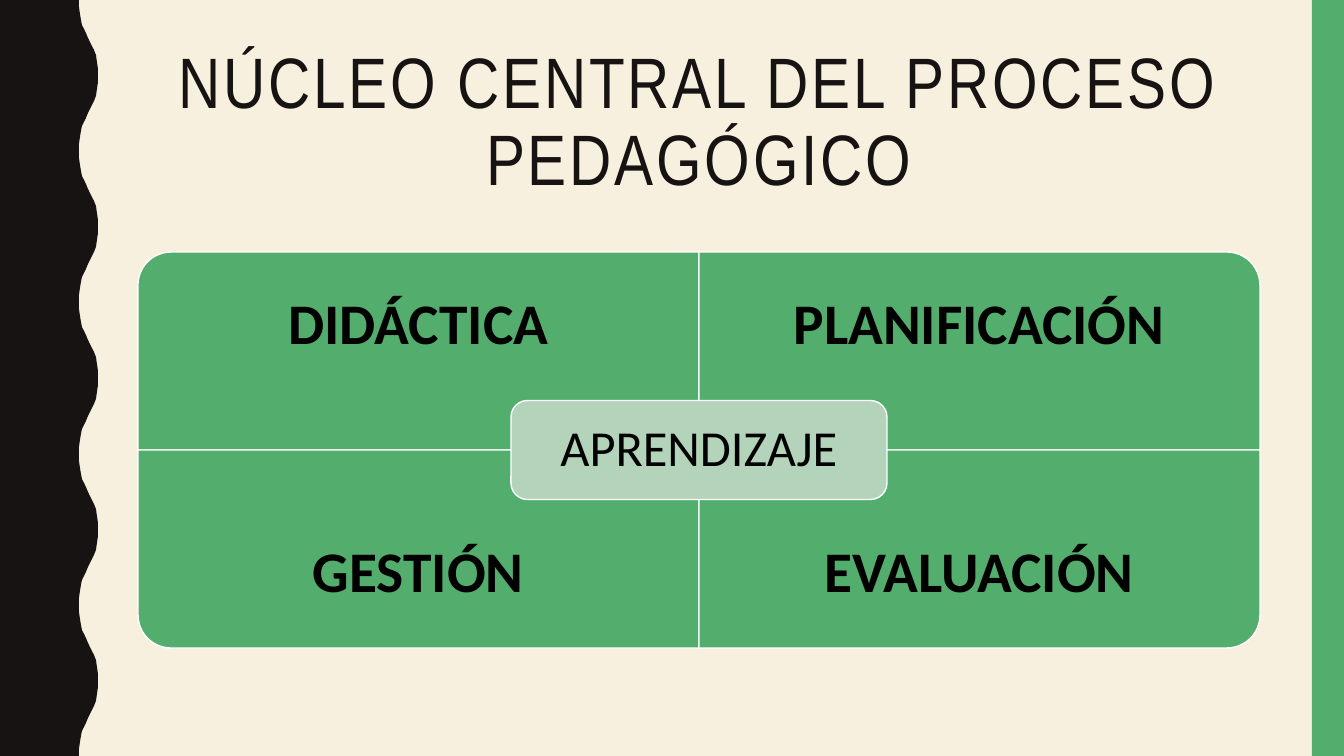
"""Build the slide on the core of the pedagogical process."""
from pptx import Presentation
from pptx.dml.color import RGBColor
from pptx.enum.shapes import MSO_SHAPE as Shape
from pptx.enum.text import MSO_ANCHOR as Anchor, PP_ALIGN as Align
from pptx.util import Pt

TITLE = "NÚCLEO CENTRAL DEL PROCESO PEDAGÓGICO"
CENTRE = "APRENDIZAJE"
QUADRANTS = [
    ("DIDÁCTICA", 0, 0, 270),
    ("PLANIFICACIÓN", 0, 1, 0),
    ("GESTIÓN", 1, 0, 180),
    ("EVALUACIÓN", 1, 1, 90),
]
THEME = {
    "cream": "F7F0DF", "ink": "171312", "green": "53AE6E",
    "pale": "B3D3BA", "white": "FFFFFF", "black": "000000",
    "title": {"name": "Arial Narrow", "size": Pt(51)},
    "quadrant": {"name": "Calibri", "size": Pt(41), "bold": True},
    "centre": {"name": "Calibri", "size": Pt(36)},
}
SCALE = 914400 / 100.8
WIDTH, HEIGHT = 1344, 756
GRID_LEFT, GRID_TOP, CELL_WIDTH, CELL_HEIGHT = 138, 252, 561, 198
LABEL_HEIGHT = 148
CENTRE_WIDTH, CENTRE_HEIGHT = 376, 99
WAVES = 5
HALF_WAVE = [(79, 0), (79, 7), (80, 14), (81, 20), (82, 25), (84, 29), (86, 33), (88, 38),
             (90, 42), (92, 46), (94, 50), (96, 55), (97, 62), (98, 69)]


def emu(pixels):
    return round(pixels * SCALE)


def color(name):
    return RGBColor.from_string(THEME[name])


def paint(shape, fill, line=None):
    shape.shadow.inherit = False
    shape.fill.solid()
    shape.fill.fore_color.rgb = color(fill)
    if line:
        shape.line.color.rgb = color(line)
        shape.line.width = Pt(1)
    else:
        shape.line.fill.background()


def add_block(kind, box, fill, line=None, rotation=0):
    left, top, width, height = box
    if rotation % 180:
        left, top = left + (width - height) / 2, top + (height - width) / 2
        width, height = height, width
    shape = slide.shapes.add_shape(kind, *map(emu, (left, top, width, height)))
    shape.rotation = rotation
    paint(shape, fill, line)


def add_label(text, box, style, ink, inset, spacing=0):
    frame = slide.shapes.add_textbox(*map(emu, box)).text_frame
    frame.word_wrap = True
    frame.vertical_anchor = Anchor.MIDDLE
    for side in ("left", "top", "right", "bottom"):
        setattr(frame, f"margin_{side}", emu(inset))
    paragraph = frame.paragraphs[0]
    paragraph.alignment = Align.CENTER
    paragraph.line_spacing = 0.9
    run = paragraph.add_run()
    run.text = text
    for key, value in THEME[style].items():
        setattr(run.font, key, value)
    run.font.color.rgb = color(ink)
    if spacing:
        run.font._element.set("spc", str(spacing * 100))


def add_wavy_edge():
    period = HEIGHT / WAVES
    mirrored = [(x, period - y) for x, y in reversed(HALF_WAVE[1:])]
    wave = HALF_WAVE + [(98, period / 2)] + mirrored
    points = [(x, y + period * index) for index in range(WAVES) for x, y in wave]
    builder = slide.shapes.build_freeform(0, 0, scale=SCALE)
    builder.add_line_segments(points + [(79, HEIGHT), (0, HEIGHT)], close=True)
    paint(builder.convert_to_shape(), "ink")


presentation = Presentation()
presentation.slide_width, presentation.slide_height = emu(WIDTH), emu(HEIGHT)
slide = presentation.slides.add_slide(presentation.slide_layouts[6])
slide.background.fill.solid()
slide.background.fill.fore_color.rgb = color("cream")

add_wavy_edge()
add_block(Shape.RECTANGLE, (1312, 0, 32, HEIGHT), "green")
add_label(TITLE, (GRID_LEFT, 42, 2 * CELL_WIDTH, 164), "title", "ink", 5, spacing=2)

for name, row, column, rotation in QUADRANTS:
    left, top = GRID_LEFT + column * CELL_WIDTH, GRID_TOP + row * CELL_HEIGHT
    add_block(Shape.ROUND_1_RECTANGLE, (left, top, CELL_WIDTH, CELL_HEIGHT),
              "green", "white", rotation)
    label_top = top + row * (CELL_HEIGHT - LABEL_HEIGHT)
    add_label(name, (left, label_top, CELL_WIDTH, LABEL_HEIGHT), "quadrant", "black", 32)

centre_box = (GRID_LEFT + CELL_WIDTH - CENTRE_WIDTH / 2,
              GRID_TOP + CELL_HEIGHT - CENTRE_HEIGHT / 2, CENTRE_WIDTH, CENTRE_HEIGHT)
add_block(Shape.ROUNDED_RECTANGLE, centre_box, "pale", "white")
add_label(CENTRE, centre_box, "centre", "black", 15)

presentation.save("out.pptx")
